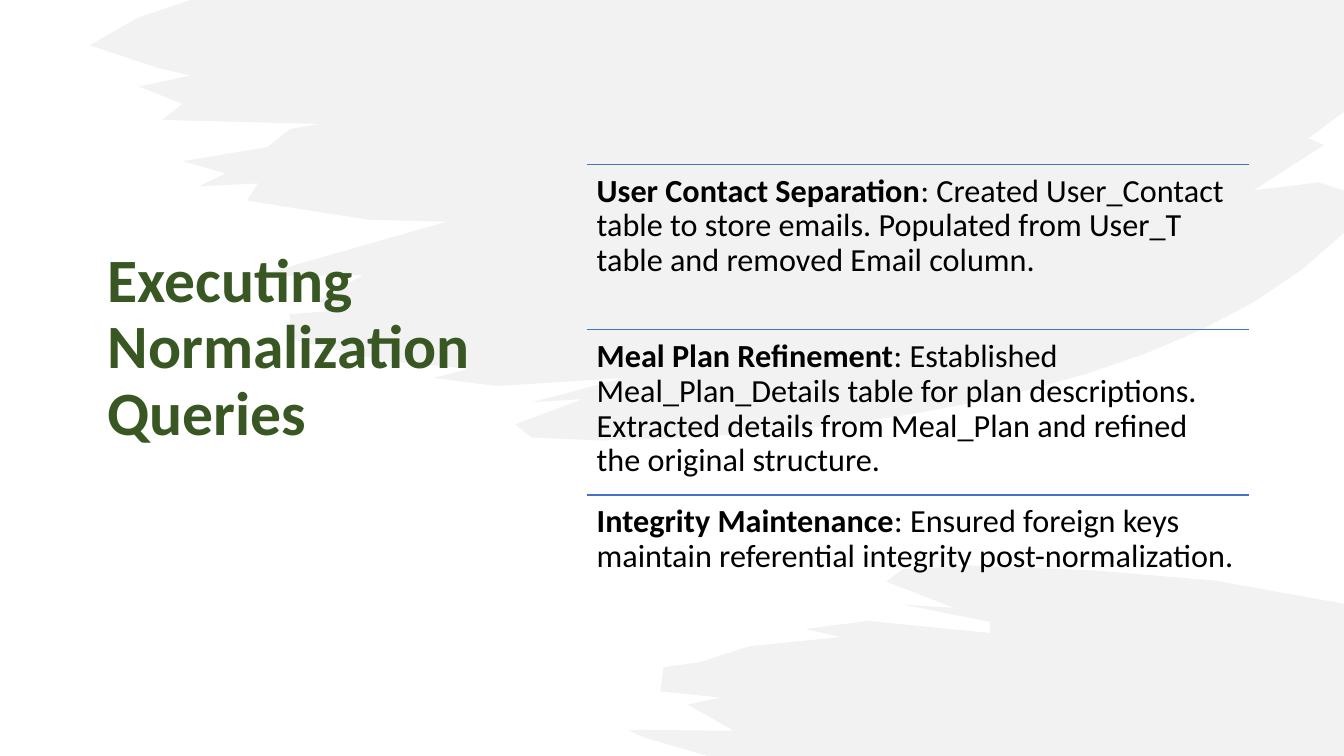
from lxml.etree import SubElement
from pptx import Presentation
from pptx.dml.color import RGBColor
from pptx.enum.shapes import MSO_CONNECTOR
from pptx.oxml.ns import qn
from pptx.util import Inches, Pt

GRAY = RGBColor(0xE7, 0xE6, 0xE6)
GREEN = RGBColor(0x38, 0x57, 0x23)
BLUE = RGBColor(0x44, 0x72, 0xC4)
BLACK = RGBColor(0, 0, 0)
FONT = "Calibri"
STEPS = 16

SWEEP = [(13.33, 2.31), (11.26, 4.4), (6.3, 4.35), (5.95, 4.37)]
LEFT = [
    (5.27, 4.34), (5.11, 4.21), (5.78, 3.96), (5.28, 3.99), (6.19, 3.75),
    (4.93, 3.83), (4.3, 3.75), (4.65, 3.66), (3.76, 3.57), (2.9, 3.37),
    (2.87, 3.12), (3.47, 3.07), (3.14, 2.99), (3.6, 2.73), (2.54, 2.74),
    (4.43, 2.2), (3.65, 2.18), (2.45, 1.99), (2.56, 1.82), (1.97, 1.85),
    (2.24, 1.72), (1.81, 1.6), (2.65, 1.46), (2.88, 1.28), (3.17, 1.23),
    (1.61, 1.19), (1.81, 1.03), (1.38, 0.86), (1.89, 0.75), (1.55, 0.67),
    (0.89, 0.45), (1.36, 0.18), (1.89, 0),
]
RIGHT = [(13.33, 0), (13.33, 1.11), (12.98, 1.37), (13.13, 1.44), (12.43, 1.89),
         (13.08, 1.81), (13.33, 1.89)]
LOWER = [
    (9.63, 5.61), (10.86, 5.66), (12.05, 5.76), (13.33, 5.99), (13.33, 7.5),
    (7.02, 7.5), (6.37, 7.31), (6.23, 7.24), (7.28, 7.25), (6.82, 6.99),
    (7.15, 6.92), (6.55, 6.86), (6.58, 6.62), (6.94, 6.57), (7.44, 6.41),
    (8.34, 6.32), (7.99, 6.24), (8.61, 6.16), (9.82, 6.28), (9.82, 6.17),
    (8.97, 6), (9.46, 6.03), (8.79, 5.77), (8.95, 5.65),
]
ITEMS = [
    ("User Contact Separation", ": Created User_Contact table to store emails. "
     "Populated from User_T table and removed Email column."),
    ("Meal Plan Refinement", ": Established Meal_Plan_Details table for plan descriptions. "
     "Extracted details from Meal_Plan and refined the original structure."),
    ("Integrity Maintenance", ": Ensured foreign keys maintain referential integrity "
     "post-normalization."),
]


def curve(ends):
    """Return points along a cubic Bézier curve."""
    points = []
    for step in range(STEPS + 1):
        t = step / STEPS
        weights = ((1 - t) ** 3, 3 * t * (1 - t) ** 2, 3 * t * t * (1 - t), t ** 3)
        points.append(tuple(sum(w * end[axis] for w, end in zip(weights, ends))
                            for axis in (0, 1)))
    return points


def add_brush(slide, outline):
    """Draw a half-transparent brush stroke."""
    start, *rest = [(Inches(x), Inches(y)) for x, y in outline]
    pen = slide.shapes.build_freeform(*start)
    pen.add_line_segments(rest, close=True)
    brush = pen.convert_to_shape()
    brush.shadow.inherit = False
    brush.line.fill.background()
    brush.fill.solid()
    brush.fill.fore_color.rgb = GRAY
    color = brush._element.spPr.find(qn("a:solidFill"))[0]
    SubElement(color, qn("a:alpha"), val="50000")


def add_text(slide, box, runs, size, color, inset):
    """Write one paragraph of (text, bold) runs in a box."""
    frame = slide.shapes.add_textbox(*map(Inches, box)).text_frame
    frame.word_wrap = True
    frame.margin_left = frame.margin_right = Inches(0.1)
    frame.margin_top = frame.margin_bottom = Inches(inset)
    para = frame.paragraphs[0]
    para.line_spacing = 0.9
    para.font.name = FONT
    para.font.size = Pt(size)
    para.font.color.rgb = color
    for text, bold in runs:
        run = para.add_run()
        run.text = text
        run.font.bold = bold


def add_list(slide, box):
    """Stack the items in equal rows, each under a rule."""
    left, top, width, height = box
    row = height / len(ITEMS)
    for index, (head, body) in enumerate(ITEMS):
        y = top + index * row
        rule = slide.shapes.add_connector(
            MSO_CONNECTOR.STRAIGHT, Inches(left), Inches(y), Inches(left + width), Inches(y))
        rule.line.color.rgb = BLUE
        rule.line.width = Pt(1)
        SubElement(rule._element.spPr, qn("a:effectLst"))
        add_text(slide, (left, y, width, row), [(head, True), (body, False)], 23, BLACK, 0.1)


def main():
    """Build and save the slide."""
    deck = Presentation()
    deck.slide_width, deck.slide_height = Inches(13.33), Inches(7.5)
    slide = deck.slides.add_slide(deck.slide_layouts[6])
    add_brush(slide, RIGHT + curve(SWEEP) + LEFT)
    add_text(slide, (0.97, 2.42, 4.23, 2.19),
             [("Executing Normalization Queries", True)], 44, GREEN, 0.05)
    add_brush(slide, LOWER)
    add_list(slide, (5.82, 1.63, 6.57, 4.92))
    deck.save("out.pptx")


if __name__ == "__main__":
    main()
